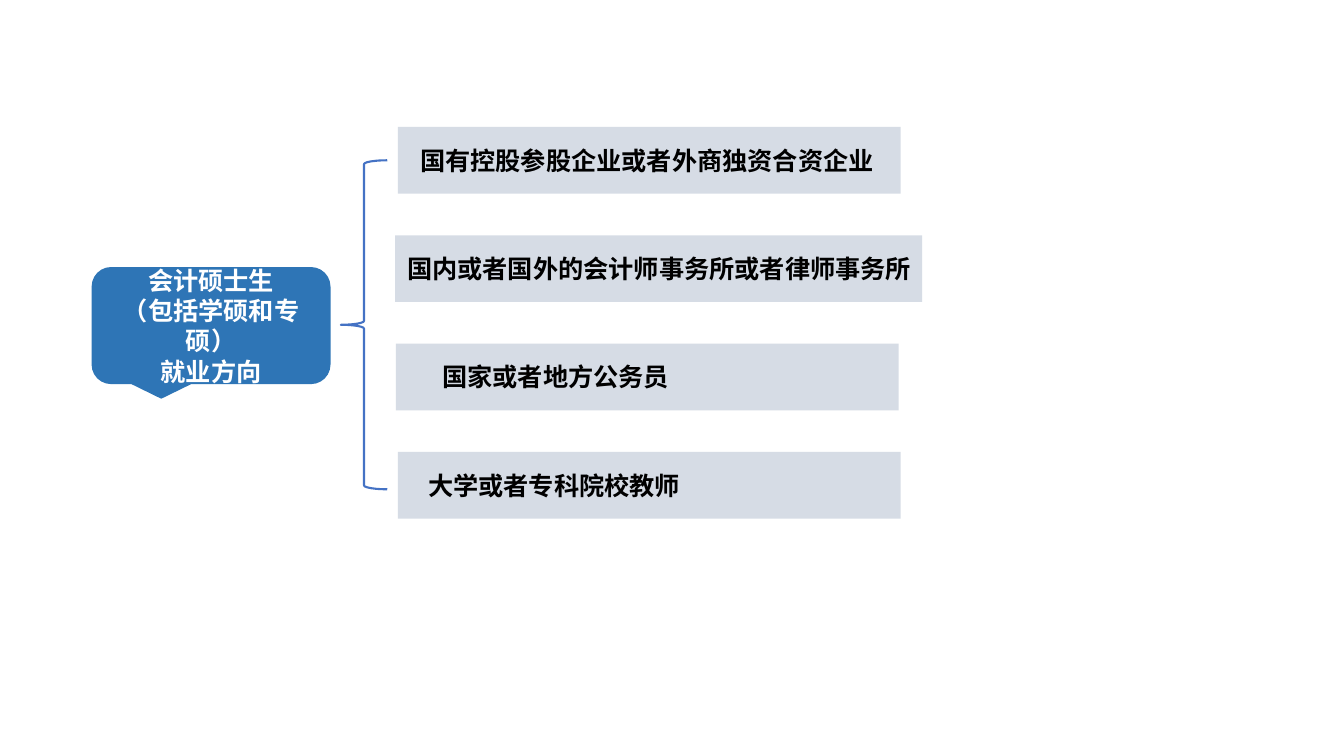
from pptx import Presentation
from pptx.dml.color import RGBColor
from pptx.enum.shapes import MSO_SHAPE
from pptx.enum.text import MSO_ANCHOR, MSO_AUTO_SIZE, PP_ALIGN
from pptx.util import Cm, Pt

# Content: \v marks a line break inside a paragraph
TOPIC = ["会计硕士生\v（包括学硕和专硕）", "就业方向"]
# text, bar left, bar width, label left, label width, label wraps (cm)
CAREERS = [
    ("国有控股参股企业或者外商独资合资企业", 10.03, 12.67, 10.34, 13.41, True),
    ("国内或者国外的会计师事务所或者律师事务所", 9.96, 13.28, 10.01, 13.84, True),
    ("国家或者地方公务员", 9.98, 12.67, 10.9, 6.25, False),
    ("大学或者专科院校教师", 10.03, 12.67, 10.54, 6.88, False),
]

# Style and layout (cm)
BLUE = RGBColor(0x2E, 0x75, 0xB6)
BRACE_BLUE = RGBColor(0x44, 0x72, 0xC4)
PALE_GRAY = RGBColor(0xD6, 0xDC, 0xE5)
WHITE = RGBColor(0xFF, 0xFF, 0xFF)
BLACK = RGBColor(0, 0, 0)
FIRST_TOP, ROW_PITCH, BAR_HEIGHT = 3.2, 2.73, 1.68
LABEL_HEIGHT = 1.02


def write_text(shape, paragraphs, color=BLACK, alignment=PP_ALIGN.LEFT,
               anchor=MSO_ANCHOR.TOP, wrap=True):
    frame = shape.text_frame
    frame.word_wrap = wrap
    frame.vertical_anchor = anchor
    frame.text = "\n".join(paragraphs)
    for paragraph in frame.paragraphs:
        paragraph.alignment = alignment
        for run in paragraph.runs:
            font = run.font
            font.name, font.size, font.bold = "Calibri", Pt(18), True
            font.color.rgb = color


def add_filled(shapes, kind, left, top, width, height, color):
    shape = shapes.add_shape(kind, Cm(left), Cm(top), Cm(width), Cm(height))
    shape.shadow.inherit = False
    shape.fill.solid()
    shape.fill.fore_color.rgb = color
    shape.line.fill.background()
    return shape


presentation = Presentation()
presentation.slide_width, presentation.slide_height = Cm(33.87), Cm(19.05)
slide = presentation.slides.add_slide(presentation.slide_layouts[6])

# Topic callout
callout = add_filled(slide.shapes, MSO_SHAPE.ROUNDED_RECTANGULAR_CALLOUT,
                     2.31, 6.73, 6.02, 2.95, BLUE)
write_text(callout, TOPIC, color=WHITE, alignment=PP_ALIGN.CENTER,
           anchor=MSO_ANCHOR.MIDDLE)

# Career bars, each grouped with its label
for row, (text, bar_left, bar_width, label_left, label_width, wrap) in enumerate(CAREERS):
    top = FIRST_TOP + row * ROW_PITCH
    group = slide.shapes.add_group_shape()
    add_filled(group.shapes, MSO_SHAPE.RECTANGLE, bar_left, top, bar_width,
               BAR_HEIGHT, PALE_GRAY)
    label_top = top + (BAR_HEIGHT - LABEL_HEIGHT) / 2
    label = group.shapes.add_textbox(Cm(label_left), Cm(label_top),
                                     Cm(label_width), Cm(LABEL_HEIGHT))
    write_text(label, [text], wrap=wrap)
    label.text_frame.auto_size = MSO_AUTO_SIZE.SHAPE_TO_FIT_TEXT

# Brace from the middle of the first bar to the middle of the last
brace = slide.shapes.add_shape(
    MSO_SHAPE.LEFT_BRACE, Cm(8.59), Cm(FIRST_TOP + BAR_HEIGHT / 2),
    Cm(1.17), Cm((len(CAREERS) - 1) * ROW_PITCH + 0.1))
brace.shadow.inherit = False
brace.fill.background()
brace.line.color.rgb = BRACE_BLUE
brace.line.width = Pt(1.5)

presentation.save("out.pptx")
